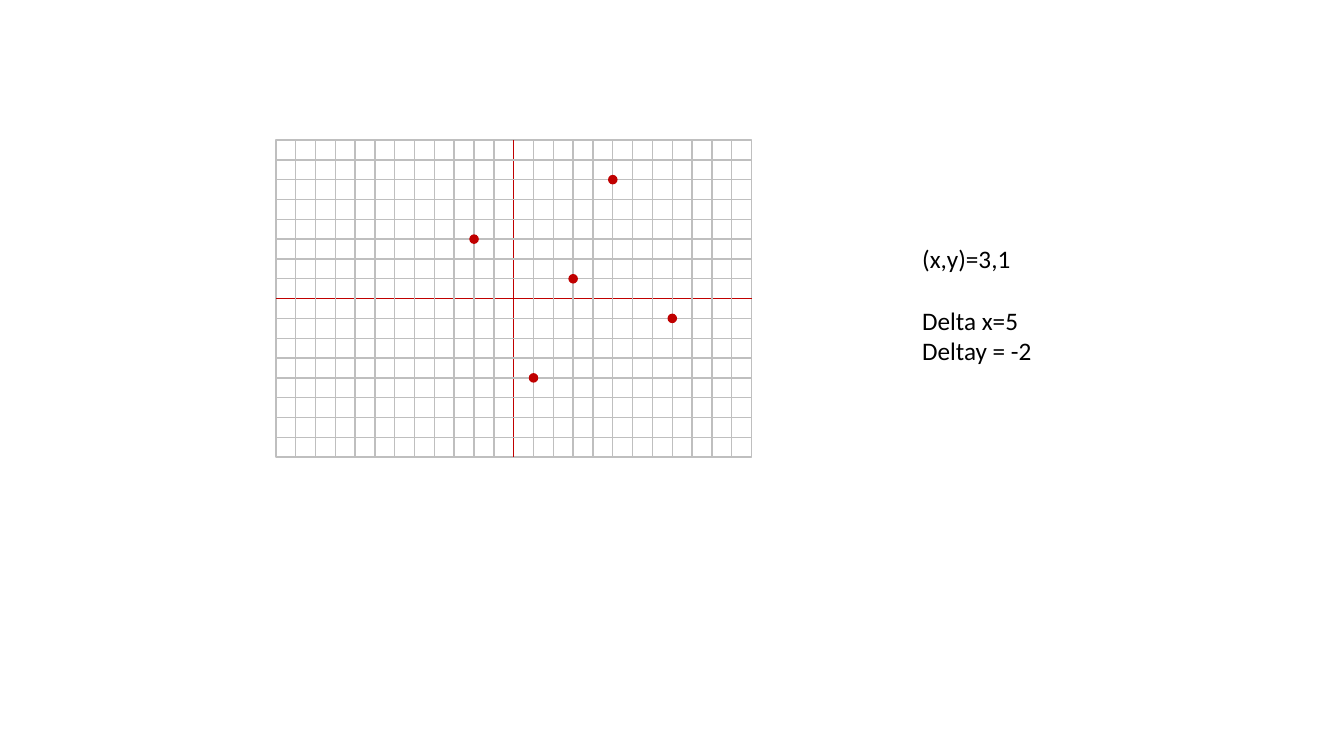
from dataclasses import dataclass

from lxml import etree
from pptx import Presentation
from pptx import util as u
from pptx.dml.color import RGBColor
from pptx.enum import shapes, text
from pptx.oxml.ns import qn


@dataclass(frozen=True)
class Theme:
    grid: str = "BFBFBF"
    mark: str = "C00000"
    ink: str = "000000"
    font: str = "Calibri"
    size: float = 18
    rule: float = 1


class Board:
    def __init__(self, slide, theme):
        self.slide = slide
        self.theme = theme

    def pen(self, line, color):
        line.color.rgb = RGBColor.from_string(color)
        line.width = u.Pt(self.theme.rule)

    def shape(self, kind, x, y, w, h, color, fill=None):
        item = self.slide.shapes.add_shape(kind, u.Pt(x), u.Pt(y), u.Pt(w), u.Pt(h))
        item.shadow.inherit = False
        if fill:
            item.fill.solid()
            item.fill.fore_color.rgb = RGBColor.from_string(fill)
        else:
            item.fill.background()
        self.pen(item.line, color)
        return item

    def line(self, x1, y1, x2, y2, color):
        item = self.slide.shapes.add_connector(
            shapes.MSO_CONNECTOR.STRAIGHT, u.Pt(x1), u.Pt(y1), u.Pt(x2), u.Pt(y2))
        self.pen(item.line, color)
        etree.SubElement(item._element.spPr, qn("a:effectLst"))
        return item

    def axis(self, frame, start, end):
        item = self.line(0, 0, 0, 0, self.theme.mark)
        item.begin_connect(frame, start)
        item.end_connect(frame, end)

    def dot(self, x, y, size):
        self.shape(shapes.MSO_SHAPE.OVAL, x - size / 2, y - size / 2, size, size,
                   self.theme.mark, self.theme.mark)

    def note(self, x, y, w, h, rows):
        box = self.slide.shapes.add_textbox(u.Pt(x), u.Pt(y), u.Pt(w), u.Pt(h))
        frame = box.text_frame
        frame.word_wrap = True
        frame.auto_size = text.MSO_AUTO_SIZE.SHAPE_TO_FIT_TEXT
        frame.text = "\n".join(row for row, gap in rows)
        for para, (row, gap) in zip(frame.paragraphs, rows):
            if gap:
                para.space_before = u.Pt(gap)
            font = para.runs[0].font
            font.name = self.theme.font
            font.size = u.Pt(self.theme.size)
            font.color.rgb = RGBColor.from_string(self.theme.ink)


def main():
    deck = Presentation()
    deck.slide_width, deck.slide_height = u.Pt(960), u.Pt(540)
    theme = Theme()
    board = Board(deck.slides.add_slide(deck.slide_layouts[6]), theme)

    # Frame of the coordinate grid
    left, top, step = 197, 100, 14.16
    cols, rows = 24, 16
    wide, high = cols * step, rows * step
    frame = board.shape(shapes.MSO_SHAPE.RECTANGLE, left, top, wide, high, theme.grid)

    # Axes through the middle
    board.axis(frame, 0, 2)
    board.axis(frame, 1, 3)

    # Grid lines, leaving out the axes
    for col in range(1, cols):
        if col != cols // 2:
            x = left + col * step
            board.line(x, top, x, top + high, theme.grid)
    for row in range(1, rows):
        if row != rows // 2:
            y = top + row * step
            board.line(left, y, left + wide, y, theme.grid)

    # Points in grid units from the origin
    for x, y in [(3, 1), (8, -1), (5, 6), (-2, 3), (1, -4)]:
        board.dot(left + wide / 2 + x * step, top + high / 2 - y * step, 5.8)

    # Reading of the points
    board.note(651.6, 170.6, 159, 116.6,
               [("(x,y)=3,1", 0), ("Delta x=5", 22), ("Deltay = -2", 0)])

    deck.save("out.pptx")


if __name__ == "__main__":
    main()
